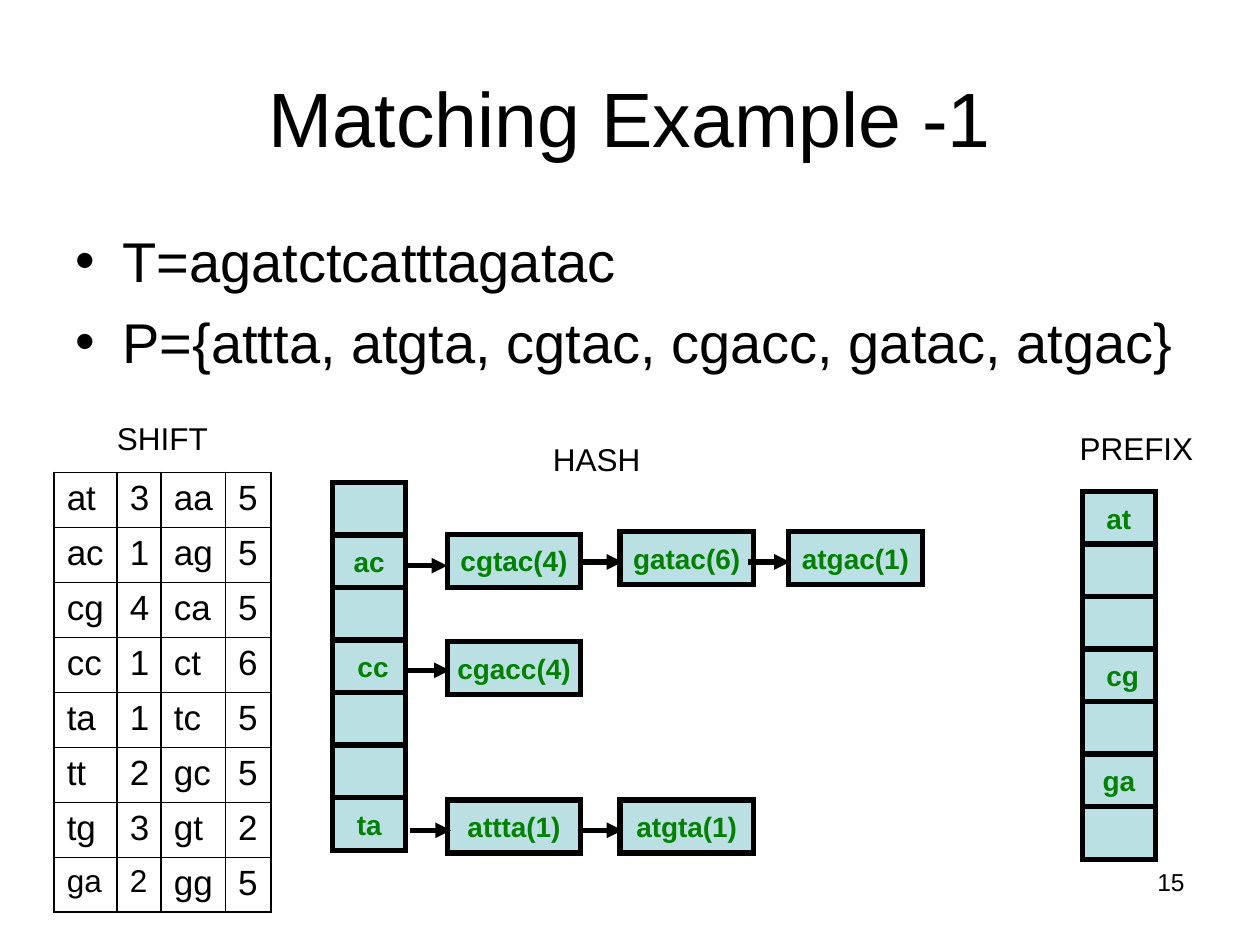
"""Build the "Matching Example -1" slide with its SHIFT, HASH and PREFIX tables."""
from lxml import etree
from pptx import Presentation
from pptx.dml.color import RGBColor
from pptx.enum import shapes, text
from pptx.oxml import ns
from pptx.util import Inches, Pt


def color(value):
    return RGBColor.from_string(value)


def add_text(left, top, width, height, lines, size, align=text.PP_ALIGN.LEFT, wrap=True):
    box = slide.shapes.add_textbox(Inches(left), Inches(top), Inches(width), Inches(height))
    frame = box.text_frame
    frame.word_wrap = wrap
    frame.text = "\n".join(lines)
    for paragraph in frame.paragraphs:
        paragraph.alignment = align
        paragraph.font.size = Pt(size)
        paragraph.font.name = "Arial"
        paragraph.font.color.rgb = color("000000")
    return frame


presentation = Presentation()
presentation.slide_width, presentation.slide_height = Inches(10), Inches(7.5)
slide = presentation.slides.add_slide(presentation.slide_layouts[6])

title = add_text(0.5, 0.3, 9, 1.25, ["Matching Example -1"], 44, text.PP_ALIGN.CENTER)
title.vertical_anchor = text.MSO_ANCHOR.MIDDLE

body = add_text(0.5, 1.75, 9, 4.95, [
    "T=agatctcatttagatac",
    "P={attta, atgta, cgtac, cgacc, gatac, atgac}",
], 32)
for paragraph in body.paragraphs:
    properties = paragraph._p.get_or_add_pPr()
    properties.set("marL", str(Inches(0.375)))
    properties.set("indent", str(Inches(-0.375)))
    etree.SubElement(properties, ns.qn("a:buFont"), typeface="Arial")
    etree.SubElement(properties, ns.qn("a:buChar"), char="•")
body.paragraphs[1].space_before = Pt(8)

shift_rows = [
    ("at", "3", "aa", "5"),
    ("ac", "1", "ag", "5"),
    ("cg", "4", "ca", "5"),
    ("cc", "1", "ct", "6"),
    ("ta", "1", "tc", "5"),
    ("tt", "2", "gc", "5"),
    ("tg", "3", "gt", "2"),
    ("ga", "2", "gg", "5"),
]
last = len(shift_rows) - 1
table_height = Inches(3.49)
table = slide.shapes.add_table(len(shift_rows), 4, Inches(0.43), Inches(3.75),
                               Inches(1.72), table_height).table
table.first_row = table.horz_banding = False
for column, width in zip(table.columns, (0.5, 0.35, 0.51, 0.36)):
    column.width = Inches(width)
for row_index, values in enumerate(shift_rows):
    table.rows[row_index].height = table_height // len(shift_rows)
    for column_index, value in enumerate(values):
        cell = table.cell(row_index, column_index)
        cell.text = value
        cell.margin_right = Inches(0.03)
        paragraph = cell.text_frame.paragraphs[0]
        paragraph.font.size = Pt(18 if row_index == last and column_index < 2 else 20)
        paragraph.font.name = "Arial"
        paragraph.font.color.rgb = color("000000")
        borders = {"lnL": 1.08, "lnR": 1.08,
                   "lnT": 1.08 if row_index == 0 else 0.45,
                   "lnB": 1.08 if row_index == last else 0.45}
        for side, weight in borders.items():
            border = etree.SubElement(cell._tc.get_or_add_tcPr(), ns.qn(f"a:{side}"),
                                      w=str(Pt(weight)))
            border_fill = etree.SubElement(border, ns.qn("a:solidFill"))
            etree.SubElement(border_fill, ns.qn("a:srgbClr"), val="000000")
        cell.fill.background()

for label, left, top, width in (("SHIFT", 0.83, 3.28, 0.92), ("HASH", 4.29, 3.44, 0.92),
                                ("PREFIX", 8.47, 3.36, 1.1)):
    add_text(left, top, width, 0.4, [label], 18, wrap=False)

boxes = [
    ("cgtac(4)", 3.55, 4.24, 1.06), ("gatac(6)", 4.92, 4.22, 1.06),
    ("atgac(1)", 6.26, 4.22, 1.06), ("cgacc(4)", 3.55, 5.09, 1.06),
    ("attta(1)", 3.55, 6.35, 1.06), ("atgta(1)", 4.92, 6.35, 1.06),
]
hash_slots = ["", "ac", "", " cc", "", "", "ta"]
prefix_slots = ["at", "", "", " cg", "", "ga", ""]
slot_height = 2.5 / 6
for left, top, slots in ((2.64, 3.83, hash_slots), (8.59, 3.9, prefix_slots)):
    boxes += [(slot, left, top + slot_height * index, 0.58)
              for index, slot in enumerate(slots)]

for label, left, top, width in boxes:
    shape = slide.shapes.add_shape(shapes.MSO_SHAPE.RECTANGLE, Inches(left), Inches(top),
                                   Inches(width), Inches(0.42))
    shape.shadow.inherit = False
    shape.fill.solid()
    shape.fill.fore_color.rgb = color("BBE0E3")
    shape.line.color.rgb = color("000000")
    shape.line.width = Pt(3)
    etree.SubElement(shape.line._get_or_add_ln(), ns.qn("a:miter"), lim="800000")
    if label:
        frame = shape.text_frame
        frame.word_wrap = False
        frame.margin_left = frame.margin_right = 0
        frame.vertical_anchor = text.MSO_ANCHOR.MIDDLE
        frame.text = label
        paragraph = frame.paragraphs[0]
        paragraph.alignment = text.PP_ALIGN.CENTER
        paragraph.font.size = Pt(16)
        paragraph.font.name = "Arial"
        paragraph.font.bold = True
        paragraph.font.color.rgb = color("008000")

for left, top in ((3.22, 4.49), (4.61, 4.46), (5.94, 4.46),
                  (3.24, 5.32), (3.25, 6.59), (4.61, 6.59)):
    arrow = slide.shapes.add_connector(shapes.MSO_CONNECTOR.STRAIGHT, Inches(left), Inches(top),
                                       Inches(left + 0.33), Inches(top))
    arrow.line.color.rgb = color("000000")
    arrow.line.width = Pt(3)
    etree.SubElement(arrow.line._get_or_add_ln(), ns.qn("a:tailEnd"), type="triangle")
    etree.SubElement(arrow._element.spPr, ns.qn("a:effectLst"))

add_text(7.17, 6.83, 2.33, 0.52, ["15"], 14, text.PP_ALIGN.RIGHT)

presentation.save("out.pptx")
